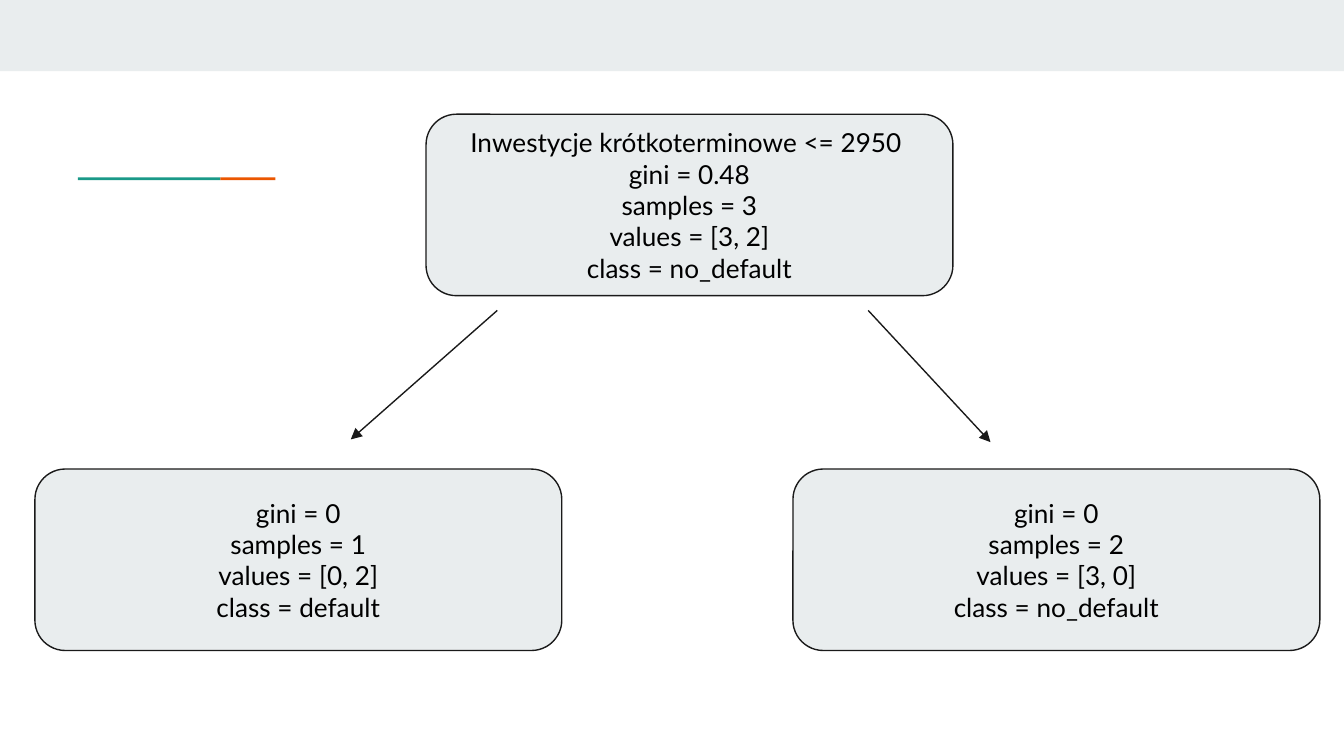
from lxml import etree
from pptx import Presentation
from pptx.dml.color import RGBColor
from pptx.enum.shapes import MSO_CONNECTOR, MSO_SHAPE
from pptx.enum.text import MSO_ANCHOR, PP_ALIGN
from pptx.oxml.ns import qn
from pptx.util import Inches, Pt

RECTANGLE = MSO_SHAPE.RECTANGLE
ROUNDED = MSO_SHAPE.ROUNDED_RECTANGLE
STRAIGHT = MSO_CONNECTOR.STRAIGHT
MIDDLE = MSO_ANCHOR.MIDDLE
CENTER = PP_ALIGN.CENTER

COLORS = {
    "panel": "E9EDEE",
    "outline": "1A1A1A",
    "text": "000000",
    "teal": "1A9988",
    "orange": "EB5600",
}
FONT = "Lato"
SLIDE_WIDTH = 10
SLIDE_HEIGHT = SLIDE_WIDTH * 9 / 16
NODE_WIDTH, NODE_HEIGHT = 3.92, 1.35
LEAF_TOP = 3.49

NODES = [
    (3.17, 0.85, ["Inwestycje krótkoterminowe <= 2950 ", "gini = 0.48",
                  "samples = 3", "values = [3, 2]", "class = no_default"]),
    (0.26, LEAF_TOP, ["gini = 0", "samples = 1", "values = [0, 2]",
                      "class = default"]),
    (5.9, LEAF_TOP, ["gini = 0", "samples = 2", "values = [3, 0]",
                     "class = no_default"]),
]
BRANCHES = [(3.7, 2.31, 2.61, 3.27), (6.46, 2.31, 7.37, 3.29)]
BARS = [
    (0, 0, SLIDE_WIDTH, 0.53, "panel"),
    (0.58, 1.32, 1.06, 0.02, "teal"),
    (1.64, 1.32, 0.41, 0.02, "orange"),
]


def color(name):
    return RGBColor.from_string(COLORS[name])


def add_filled_shape(slide, kind, left, top, width, height, fill):
    shape = slide.shapes.add_shape(
        kind, Inches(left), Inches(top), Inches(width), Inches(height))
    shape.shadow.inherit = False
    shape.fill.solid()
    shape.fill.fore_color.rgb = color(fill)
    return shape


def add_bar(slide, left, top, width, height, fill):
    bar = add_filled_shape(slide, RECTANGLE, left, top, width, height, fill)
    bar.line.fill.background()


def set_outline(line):
    line.color.rgb = color("outline")
    line.width = Pt(0.75)


def add_node(slide, left, top, lines):
    node = add_filled_shape(
        slide, ROUNDED, left, top, NODE_WIDTH, NODE_HEIGHT, "panel")
    node.adjustments[0] = 0.167
    set_outline(node.line)
    frame = node.text_frame
    frame.word_wrap = True
    frame.vertical_anchor = MIDDLE
    frame.margin_left = frame.margin_right = Inches(0.1)
    frame.margin_top = frame.margin_bottom = Inches(0.1)
    frame.text = "\n".join(lines)
    for paragraph in frame.paragraphs:
        paragraph.alignment = CENTER
        for span in paragraph.runs:
            span.font.name = FONT
            span.font.size = Pt(14)
            span.font.color.rgb = color("text")


def add_branch(slide, *ends):
    branch = slide.shapes.add_connector(STRAIGHT, *map(Inches, ends))
    set_outline(branch.line)
    line_xml = branch._element.spPr.find(qn("a:ln"))
    etree.SubElement(line_xml, qn("a:tailEnd"), type="triangle")
    etree.SubElement(branch._element.spPr, qn("a:effectLst"))


def main():
    deck = Presentation()
    deck.slide_width = Inches(SLIDE_WIDTH)
    deck.slide_height = Inches(SLIDE_HEIGHT)
    slide = deck.slides.add_slide(deck.slide_layouts[6])
    for bar in BARS:
        add_bar(slide, *bar)
    for node in NODES:
        add_node(slide, *node)
    for branch in BRANCHES:
        add_branch(slide, *branch)
    deck.save("out.pptx")


if __name__ == "__main__":
    main()
